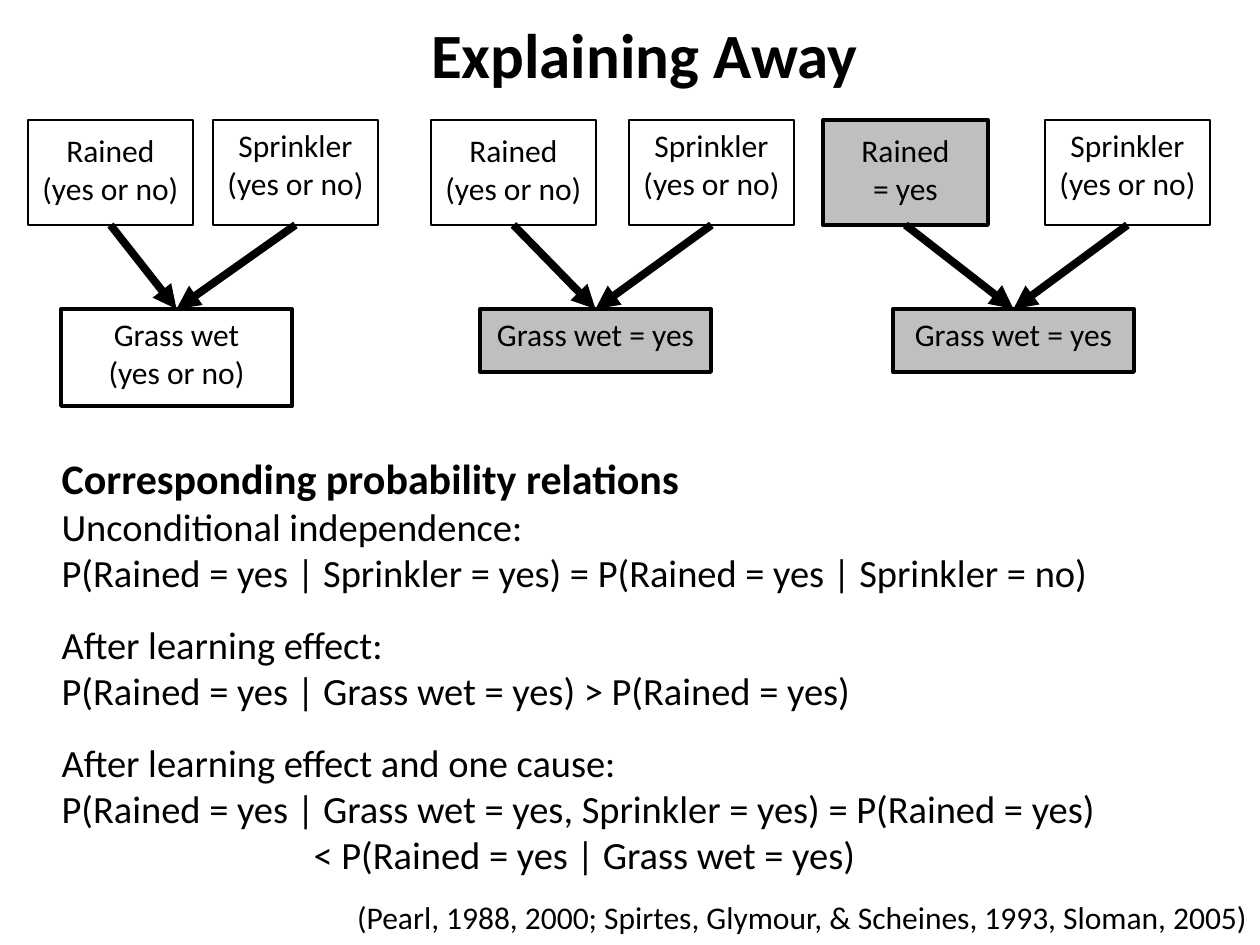
from lxml import etree
from pptx import Presentation
from pptx import util as u
from pptx.dml.color import RGBColor
from pptx.enum import shapes, text
from pptx.oxml.ns import qn

BLACK, WHITE, GREY = "000000", "FFFFFF", "BFBFBF"
SCALE = u.Inches(1) / 126

# Content: each network has two causes (left, words, observed) and an effect
UNKNOWN = "(yes or no)"
NETWORKS = [
    {"rained": (28, ["Rained", UNKNOWN], False),
     "sprinkler": (213, ["Sprinkler", UNKNOWN], False),
     "effect": (61, 231, 97, ["Grass wet", UNKNOWN], None)},
    {"rained": (431, ["Rained", UNKNOWN], False),
     "sprinkler": (629, ["Sprinkler", UNKNOWN], False),
     "effect": (480, 231, 63, ["Grass wet = yes"], GREY)},
    {"rained": (823, ["Rained", "= yes"], True),
     "sprinkler": (1045, ["Sprinkler", UNKNOWN], False),
     "effect": (893, 241, 63, ["Grass wet = yes"], GREY)},
]
HEADING = "Corresponding probability relations"
RELATIONS = [
    ("Unconditional independence:",
     "P(Rained = yes | Sprinkler = yes) = P(Rained = yes | Sprinkler = no)"),
    ("After learning effect:",
     "P(Rained = yes | Grass wet = yes) > P(Rained = yes)"),
    ("After learning effect and one cause:",
     "P(Rained = yes | Grass wet = yes, Sprinkler = yes) = P(Rained = yes)"),
]
LAST_LINE = "< P(Rained = yes | Grass wet = yes)"
SOURCES = "(Pearl, 1988, 2000; Spirtes, Glymour, & Scheines, 1993, Sloman, 2005)"

CAUSE_TOP, CAUSE_WIDTH, CAUSE_HEIGHT = 120, 165, 105
EFFECT_TOP = 309


def px(value):
    return u.Emu(round(value * SCALE))


def color(value):
    return RGBColor.from_string(value)


def place(shape, left, top, width, height):
    shape.left, shape.top = px(left), px(top)
    shape.width, shape.height = px(width), px(height)


def add_text(frame, words, size=18, bold=False, align=text.PP_ALIGN.CENTER,
             before=0, indent=0):
    """Fill the empty first paragraph, or append another one."""
    para = frame.paragraphs[0] if not frame.text else frame.add_paragraph()
    props = para._p.get_or_add_pPr()
    props.set("marL", str(px(indent)))
    props.set("indent", "0")
    etree.SubElement(props, qn("a:buNone"))
    para.alignment = align
    para.space_before = u.Pt(before)
    span = para.add_run()
    span.text = words
    span.font.name, span.font.size, span.font.bold = "Calibri", u.Pt(size), bold
    span.font.color.rgb = color(BLACK)


def add_node(page, left, top, width, height, lines, fill, line, inset=6):
    box = page.shapes.add_shape(shapes.MSO_SHAPE.RECTANGLE,
                                px(left), px(top), px(width), px(height))
    box.shadow.inherit = False
    if fill:
        box.fill.solid()
        box.fill.fore_color.rgb = color(fill)
    else:
        box.fill.background()
    box.line.color.rgb = color(BLACK)
    box.line.width = u.Pt(line)
    frame = box.text_frame
    frame.vertical_anchor = text.MSO_ANCHOR.TOP
    frame.margin_top = px(inset)
    for words in lines:
        add_text(frame, words)


def add_arrow(page, start, end):
    arrow = page.shapes.add_connector(shapes.MSO_CONNECTOR.STRAIGHT,
                                      *map(px, start + end))
    arrow.line.color.rgb = color(BLACK)
    arrow.line.width = u.Pt(4.5)
    etree.SubElement(arrow.line._get_or_add_ln(), qn("a:tailEnd"), type="triangle")
    etree.SubElement(arrow._element.spPr, qn("a:effectLst"))


def add_network(page, rained, sprinkler, effect):
    left, width, height, lines, fill = effect
    add_node(page, left, EFFECT_TOP, width, height, lines, fill, 2.25)
    target = (left + width / 2, EFFECT_TOP)
    for (cause_left, words, observed), inset in ((rained, 11), (sprinkler, 6)):
        add_node(page, cause_left, CAUSE_TOP, CAUSE_WIDTH, CAUSE_HEIGHT, words,
                 GREY if observed else WHITE, 2.25 if observed else 0.75, inset)
        add_arrow(page, (cause_left + CAUSE_WIDTH / 2, CAUSE_TOP + CAUSE_HEIGHT),
                  target)


def main():
    deck = Presentation()
    deck.slide_width, deck.slide_height = px(1260), px(945)
    page = deck.slides.add_slide(deck.slide_layouts[1])
    title, body = page.placeholders

    # Title
    place(title, 339, 9, 611, 88)
    title.text_frame.auto_size = text.MSO_AUTO_SIZE.NONE
    title.text_frame.vertical_anchor = text.MSO_ANCHOR.MIDDLE
    add_text(title.text_frame, "Explaining Away", size=36, bold=True)

    # Probability relations
    left = text.PP_ALIGN.LEFT
    place(body, 49, 446, 1191, 446)
    body.fill.solid()
    body.fill.fore_color.rgb = color(WHITE)
    frame = body.text_frame
    frame.auto_size = text.MSO_AUTO_SIZE.NONE
    add_text(frame, HEADING, size=24, bold=True, align=left)
    for index, (label, formula) in enumerate(RELATIONS):
        add_text(frame, label, size=22, align=left, before=14.6 if index else 0)
        add_text(frame, formula, size=22, align=left)
    add_text(frame, LAST_LINE, size=22, align=left, indent=252)

    # Causal networks
    for network in NETWORKS:
        add_network(page, **network)

    # Sources
    note = page.shapes.add_textbox(px(324), px(892), px(936), px(51))
    note.text_frame.word_wrap = True
    add_text(note.text_frame, SOURCES, align=text.PP_ALIGN.RIGHT)

    deck.save("out.pptx")


if __name__ == "__main__":
    main()
